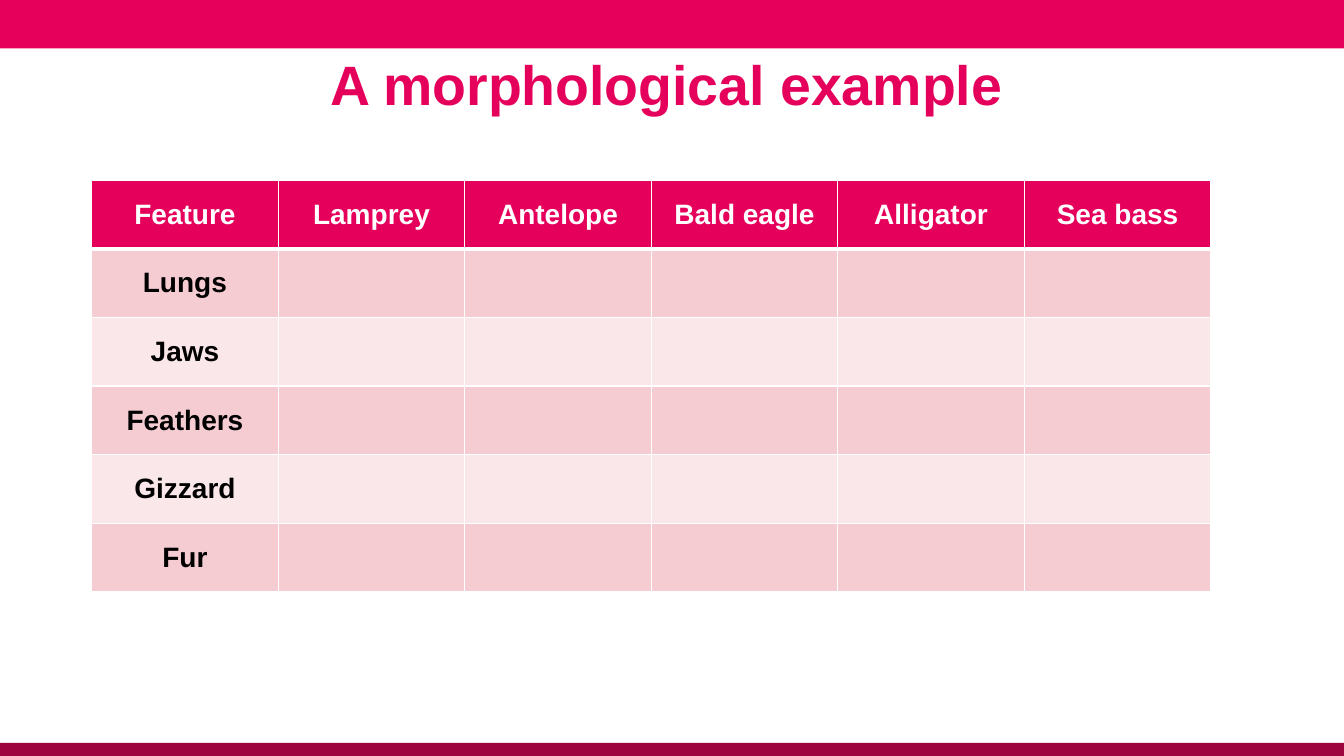
from dataclasses import dataclass

from lxml.etree import SubElement
from pptx import Presentation
from pptx.dml.color import RGBColor
from pptx.enum.shapes import MSO_SHAPE as Shape
from pptx.enum.text import MSO_ANCHOR as Anchor, MSO_AUTO_SIZE as AutoSize, PP_ALIGN as Align
from pptx.oxml.ns import qn
from pptx.util import Inches, Pt


@dataclass(frozen=True)
class Theme:
    font: str = "Arial"
    bar: str = "E6005B"
    footer: str = "9E043D"
    accent: str = "E5005B"
    bands: tuple = ("F5CCD2", "FAE7EA")
    light: str = "FFFFFF"
    dark: str = "000000"
    title_size: float = 39.6
    table_size: float = 20
    border: float = 1
    header_rule: float = 3


THEME = Theme()
WIDTH, HEIGHT = 13.33, 7.5
TABLE_LEFT, TABLE_TOP = 0.91, 1.79
COLUMN, ROW = 1.85, 0.68
ANIMALS = ["Lamprey", "Antelope", "Bald eagle", "Alligator", "Sea bass"]
FEATURES = ["Lungs", "Jaws", "Feathers", "Gizzard", "Fur"]


def set_format(target, values):
    for name, value in values.items():
        setattr(target, name, value)


def set_fill(target, color):
    target.fill.solid()
    target.fill.fore_color.rgb = RGBColor.from_string(color)


def style_text(paragraph, size, color):
    paragraph.alignment = Align.CENTER
    set_format(paragraph.font, {"name": THEME.font, "size": Pt(size), "bold": True})
    paragraph.font.color.rgb = RGBColor.from_string(color)


def add_bar(slide, top, height, color):
    bar = slide.shapes.add_shape(
        Shape.RECTANGLE, 0, Inches(top), Inches(WIDTH), Inches(height))
    bar.shadow.inherit = False
    set_fill(bar, color)
    bar.line.fill.background()


def format_title(slide, text):
    title = slide.shapes.title
    set_format(title, {"left": Inches(0.48), "top": Inches(0.49),
                       "width": Inches(12.36), "height": Inches(0.75)})
    frame = title.text_frame
    frame.text = text
    set_format(frame, {"margin_left": 0, "margin_right": Inches(0.1),
                       "margin_top": Inches(0.05), "margin_bottom": Inches(0.05),
                       "vertical_anchor": Anchor.MIDDLE, "word_wrap": True,
                       "auto_size": AutoSize.NONE})
    paragraph = frame.paragraphs[0]
    paragraph.line_spacing = 0.9
    style_text(paragraph, THEME.title_size, THEME.accent)


def set_borders(cell, top, bottom):
    properties = cell._tc.get_or_add_tcPr()
    widths = {"lnL": THEME.border, "lnR": THEME.border, "lnT": top, "lnB": bottom}
    for side, width in widths.items():
        line = SubElement(properties, qn(f"a:{side}"), w=str(Pt(width)))
        fill = SubElement(line, qn("a:solidFill"))
        SubElement(fill, qn("a:srgbClr"), val=THEME.light)


def format_cell(cell, row, text):
    # The heavy rule is shared by the header and the first feature row
    set_borders(cell,
                top=THEME.header_rule if row == 1 else THEME.border,
                bottom=THEME.header_rule if row == 0 else THEME.border)
    set_fill(cell, THEME.bands[(row - 1) % 2] if row else THEME.accent)
    cell.vertical_anchor = Anchor.MIDDLE
    cell.text = text
    style_text(cell.text_frame.paragraphs[0], THEME.table_size,
               THEME.dark if row else THEME.light)


def add_feature_table(slide, animals, features):
    header = ["Feature", *animals]
    rows = [header] + [[feature] + [""] * len(animals) for feature in features]
    table = slide.shapes.add_table(
        len(rows), len(header), Inches(TABLE_LEFT), Inches(TABLE_TOP),
        Inches(COLUMN * len(header)), Inches(ROW * len(rows))).table
    for column in table.columns:
        column.width = Inches(COLUMN)
    for row, texts in enumerate(rows):
        table.rows[row].height = Inches(ROW)
        for column, text in enumerate(texts):
            format_cell(table.cell(row, column), row, text)


def main():
    presentation = Presentation()
    set_format(presentation, {"slide_width": Inches(WIDTH),
                              "slide_height": Inches(HEIGHT)})
    slide = presentation.slides.add_slide(presentation.slide_layouts.get_by_name("Title Only"))

    # Bands along the top and bottom edges
    add_bar(slide, 0, 0.48, THEME.bar)
    add_bar(slide, HEIGHT - 0.13, 0.13, THEME.footer)

    # Title and table
    format_title(slide, "A morphological example")
    add_feature_table(slide, ANIMALS, FEATURES)

    presentation.save("out.pptx")


if __name__ == "__main__":
    main()
